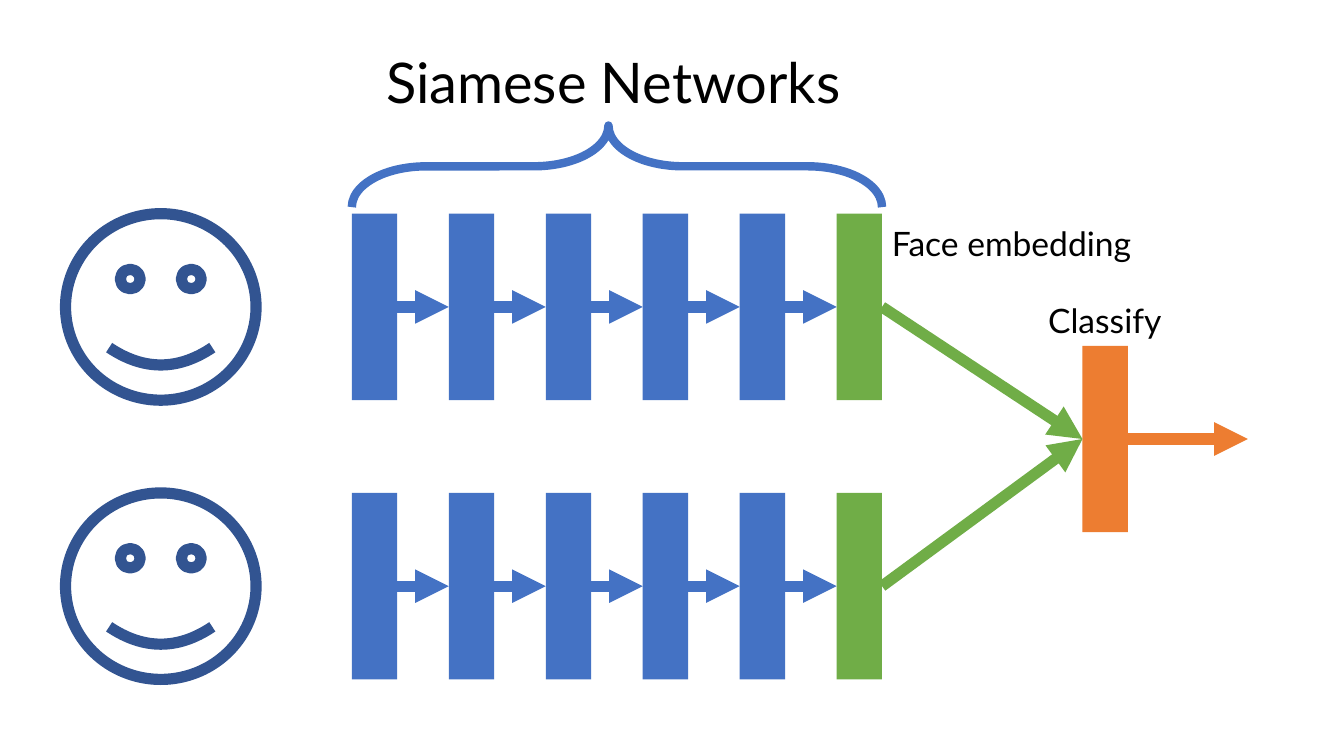
import dataclasses
import typing

import pptx
import pptx.dml.color
import pptx.enum.dml
import pptx.enum.shapes
import pptx.enum.text
import pptx.oxml
import pptx.oxml.ns
import pptx.util

SHAPE = pptx.enum.shapes.MSO_SHAPE
LEFT_SITE, RIGHT_SITE = 1, 3


@dataclasses.dataclass(frozen=True)
class Theme:
    font: str = "Lato"
    text: str = "000000"
    layer: str = "4472C4"
    face: str = "325491"
    embedding: str = "70AD47"
    classifier: str = "ED7D31"
    title_size: int = 40
    label_size: int = 24
    arrow_width: int = 8
    brace_width: int = 6


@dataclasses.dataclass(frozen=True)
class Grid:
    """Columns of network layers and rows of twin networks, in inches."""
    left: float = 3.49
    top: float = 2.12
    column: float = 0.962
    row: float = 2.77
    bar_width: float = 0.45
    bar_height: float = 1.85
    layers: int = 5
    networks: int = 2

    def x(self, column: float) -> float:
        return self.left + column * self.column

    def y(self, row: float) -> float:
        return self.top + row * self.row


class Box(typing.NamedTuple):
    left: float
    top: float
    width: float
    height: float

    def lengths(self) -> list:
        return [pptx.util.Inches(value) for value in self]


class Label(typing.NamedTuple):
    text: str
    box: Box


THEME = Theme()
GRID = Grid()

deck = pptx.Presentation()
deck.slide_width = pptx.util.Inches(13.333)
deck.slide_height = pptx.util.Inches(7.5)
page = deck.slides.add_slide(deck.slide_layouts[5])


def rgb(color: str) -> pptx.dml.color.RGBColor:
    return pptx.dml.color.RGBColor.from_string(color)


def stroke(line, color: str, width: float) -> None:
    line.color.rgb = rgb(color)
    line.width = pptx.util.Pt(width)


def add_bar(column: float, row: float, color: str):
    box = Box(GRID.x(column), GRID.y(row), GRID.bar_width, GRID.bar_height)
    bar = page.shapes.add_shape(SHAPE.RECTANGLE, *box.lengths())
    bar.shadow.inherit = False
    bar.fill.solid()
    bar.fill.fore_color.rgb = rgb(color)
    bar.line.fill.background()
    return bar


def add_outline(kind, box: Box, color: str, width: float):
    outline = page.shapes.add_shape(kind, *box.lengths())
    outline.shadow.inherit = False
    outline.fill.background()
    stroke(outline.line, color, width)
    return outline


def add_arrow(start, color: str, target=None, length: float = 0) -> None:
    """Point from a bar's right side to a target bar, or straight ahead."""
    x = start.left + start.width
    y = start.top + start.height // 2
    arrow = page.shapes.add_connector(
        pptx.enum.shapes.MSO_CONNECTOR.STRAIGHT,
        x, y, x + pptx.util.Inches(length), y)
    arrow.begin_connect(start, RIGHT_SITE)
    if target is not None:
        arrow.end_connect(target, LEFT_SITE)
    stroke(arrow.line, color, THEME.arrow_width)
    line = arrow.line._get_or_add_ln()
    pptx.oxml.ns.qn("a:tailEnd")
    line.append(pptx.oxml.parse_xml(
        f'<a:tailEnd {pptx.oxml.ns.nsdecls("a")} type="triangle"/>'))
    arrow._element.spPr.append(pptx.oxml.parse_xml(
        f'<a:effectLst {pptx.oxml.ns.nsdecls("a")}/>'))


def write(holder, label: Label, size: float) -> None:
    holder.left, holder.top, holder.width, holder.height = label.box.lengths()
    frame = holder.text_frame
    frame.word_wrap = False
    frame.auto_size = pptx.enum.text.MSO_AUTO_SIZE.SHAPE_TO_FIT_TEXT
    frame.vertical_anchor = pptx.enum.text.MSO_ANCHOR.TOP
    para = frame.paragraphs[0]
    para.alignment = pptx.enum.text.PP_ALIGN.LEFT
    span = para.add_run()
    span.text = label.text
    span.font.name = THEME.font
    span.font.size = pptx.util.Pt(size)
    span.font.color.rgb = rgb(THEME.text)


# Title
write(page.shapes.title,
      Label("Siamese Networks", Box(3.73, 0.42, 4.78, 0.77)),
      THEME.title_size)

# Classifier, halfway between the networks
classifier = add_bar(7.535, 0.473, THEME.classifier)
add_arrow(classifier, THEME.classifier, length=1.19)

# Twin networks: face, layers, embedding
for row in range(GRID.networks):
    add_outline(SHAPE.SMILEY_FACE,
                Box(0.65, GRID.y(row), 1.89, GRID.bar_height),
                THEME.face, THEME.arrow_width)
    bars = [add_bar(column, row, THEME.layer) for column in range(GRID.layers)]
    bars.append(add_bar(GRID.layers, row, THEME.embedding))
    for start, target in zip(bars, bars[1:]):
        add_arrow(start, THEME.layer, target)
    add_arrow(bars[-1], THEME.embedding, classifier)

# Brace over the whole network, turned to point at the title
span_width = GRID.layers * GRID.column + GRID.bar_width
brace_depth = 0.81
brace = add_outline(
    SHAPE.LEFT_BRACE,
    Box(GRID.left + (span_width - brace_depth) / 2, 1.65 - span_width / 2,
        brace_depth, span_width),
    THEME.layer, THEME.brace_width)
brace.rotation = 90
brace.adjustments[0] = 0.911
brace.adjustments[1] = 0.516

# Labels
for label in (Label("Face embedding", Box(8.75, 2.16, 2.63, 0.5)),
              Label("Classify", Box(10.3, 2.93, 1.33, 0.5))):
    write(page.shapes.add_textbox(*label.box.lengths()), label,
          THEME.label_size)

deck.save("out.pptx")
